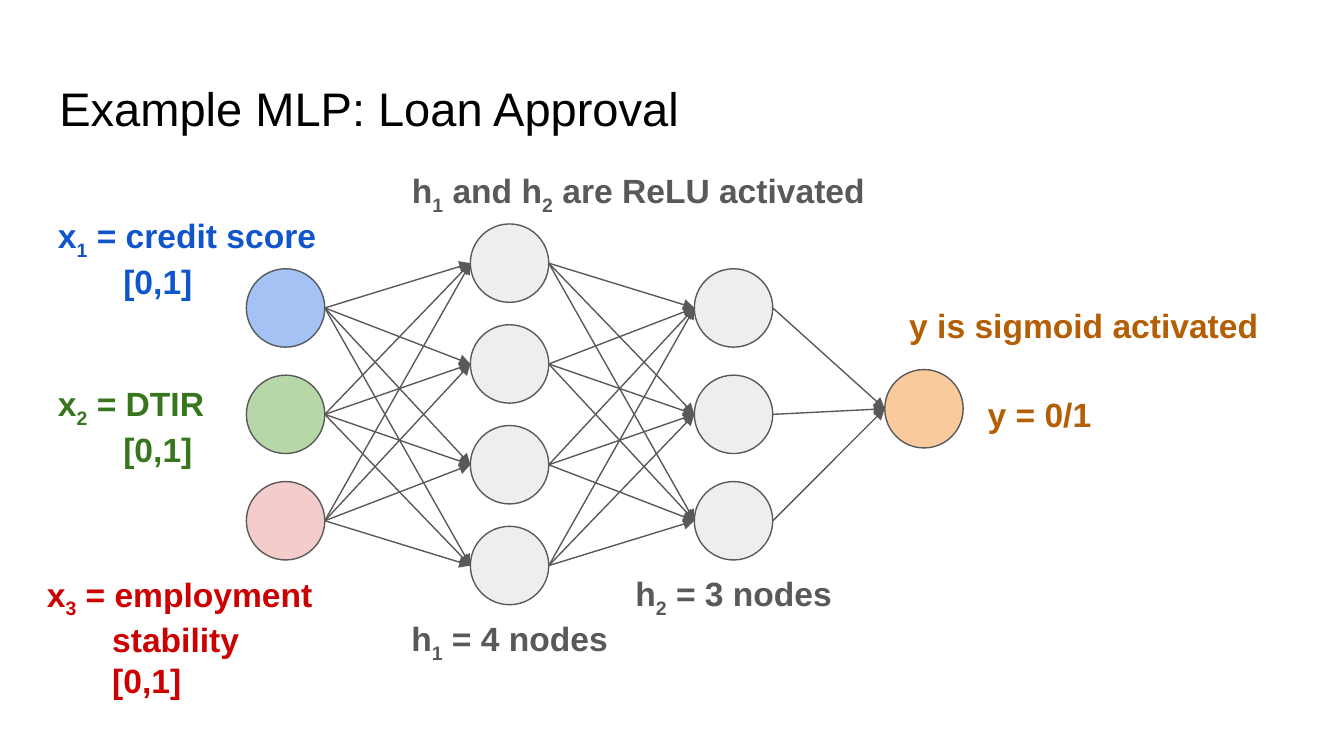
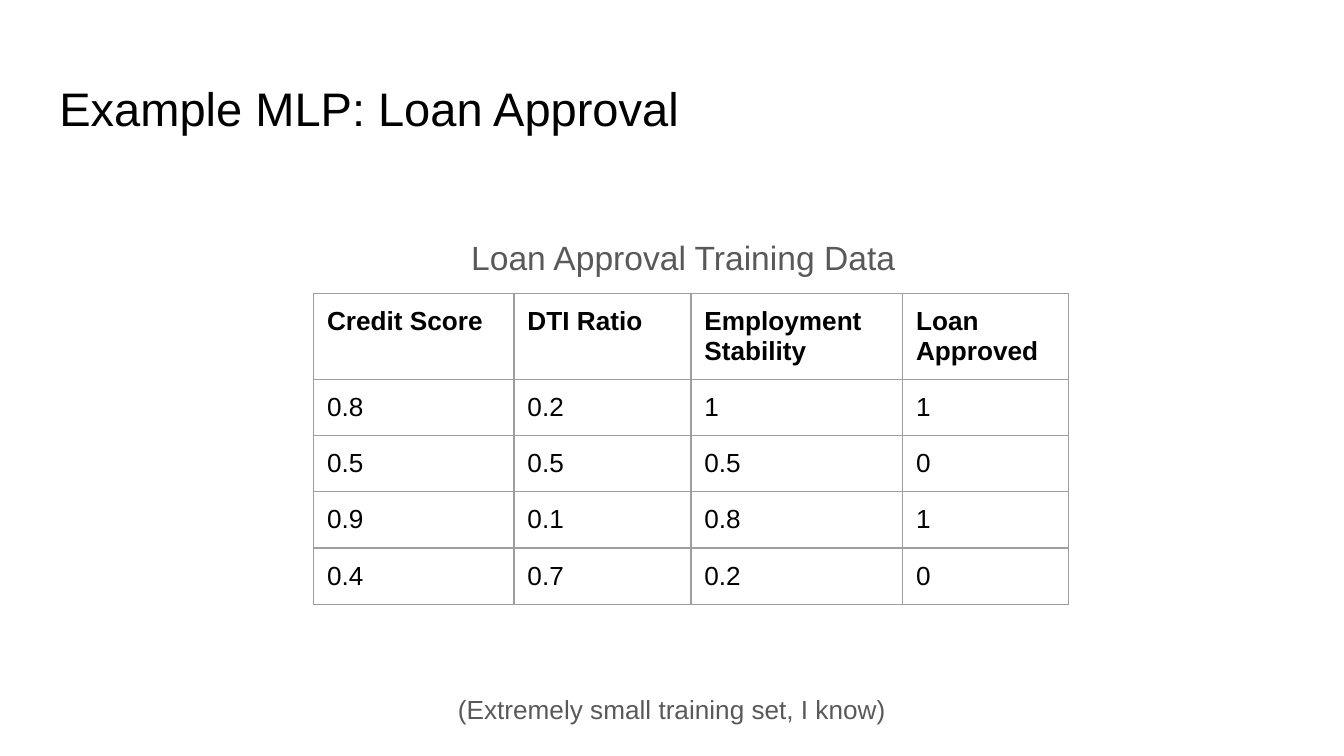
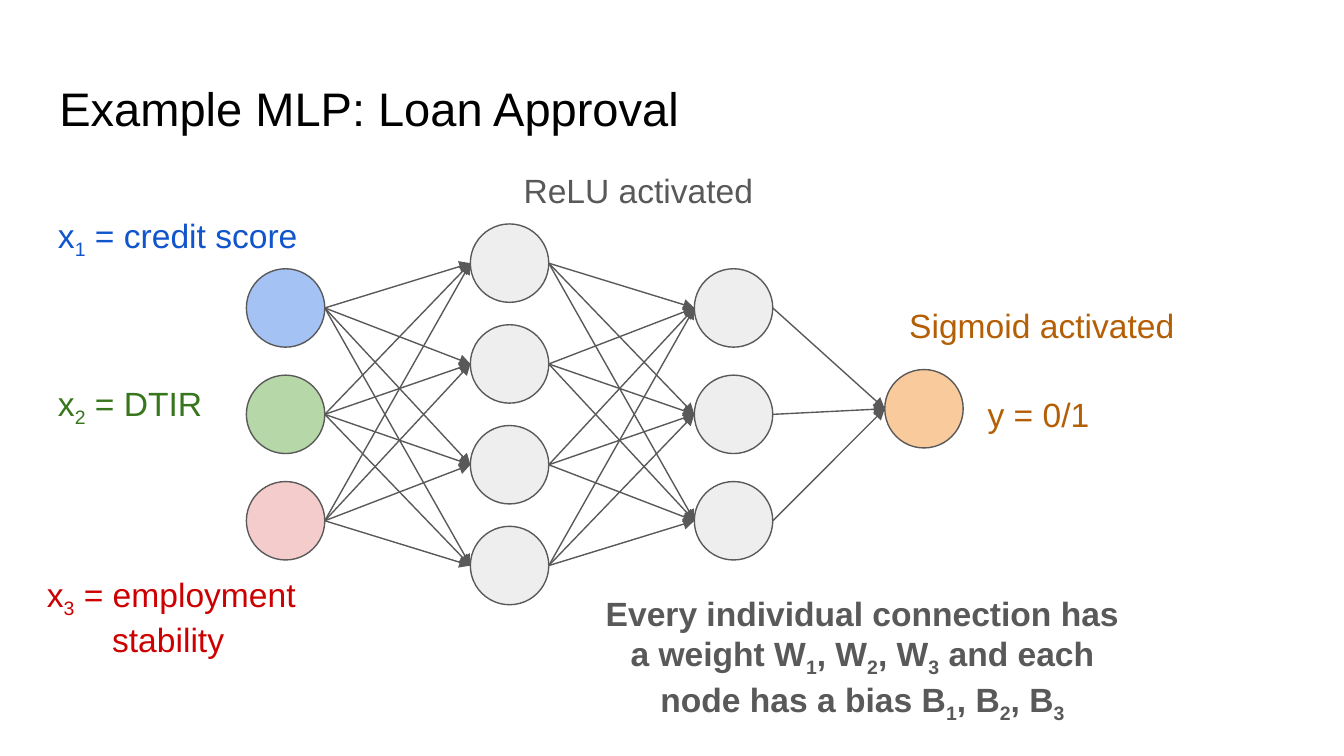
from itertools import product

from lxml import etree
from pptx import Presentation
from pptx.dml.color import RGBColor
from pptx.enum.shapes import MSO_CONNECTOR, MSO_SHAPE
from pptx.enum.text import MSO_ANCHOR, MSO_AUTO_SIZE, PP_ALIGN
from pptx.oxml.ns import qn
from pptx.util import Inches, Pt

# Grid: 12 columns and 12 rows to the inch
COLS, ROWS = 120, 67.5
UNIT = Inches(1) / 12

FONT = "Arial"
BLACK = RGBColor(0x00, 0x00, 0x00)
GRAY = RGBColor(0x59, 0x59, 0x59)
BORDER = RGBColor(0x9E, 0x9E, 0x9E)
HIDDEN_FILL = RGBColor(0xEE, 0xEE, 0xEE)
BLUE, BLUE_FILL = RGBColor(0x11, 0x55, 0xCC), RGBColor(0xA4, 0xC2, 0xF4)
GREEN, GREEN_FILL = RGBColor(0x38, 0x76, 0x1D), RGBColor(0xB6, 0xD7, 0xA8)
RED, RED_FILL = RGBColor(0xCC, 0x00, 0x00), RGBColor(0xF4, 0xCC, 0xCC)
ORANGE, ORANGE_FILL = RGBColor(0xB4, 0x5F, 0x06), RGBColor(0xF9, 0xCB, 0x9C)

TITLE = "Example MLP: Loan Approval"
INSET = Inches(0.1)
HANG = Pt(35)
LINE_WIDTH = Pt(0.75)

# Network layers: column, first row, row step, node fills
NODE = 7
LAYERS = [
    (22, 24, 9.5, [BLUE_FILL, GREEN_FILL, RED_FILL]),
    (42, 20, 9, [HIDDEN_FILL] * 4),
    (62, 24, 9.5, [HIDDEN_FILL] * 3),
    (79, 33, 0, [ORANGE_FILL]),
]


def grid(*units):
    return [round(u * UNIT) for u in units]


def write(tf, text, size=18, color=GRAY, bold=False, align=PP_ALIGN.LEFT, hang=0):
    """Fill a text frame; "_" lowers the next character, "\n" breaks the line."""
    tf.word_wrap = True
    tf.margin_left = tf.margin_right = tf.margin_top = tf.margin_bottom = INSET
    p = tf.paragraphs[0]
    p.alignment = align
    if hang:
        pPr = p._p.get_or_add_pPr()
        pPr.set("marL", str(hang))
        pPr.set("indent", str(-hang))

    def add_run(piece, lowered=False):
        r = p.add_run()
        r.text = piece
        r.font.name, r.font.size, r.font.bold = FONT, Pt(size), bold
        r.font.color.rgb = color
        if lowered:
            r._r.get_or_add_rPr().set("baseline", "-25000")

    for i, line in enumerate(text.split("\n")):
        if i:
            p.add_line_break()
        plain, *lowered = line.split("_")
        add_run(plain)
        for piece in lowered:
            add_run(piece[0], lowered=True)
            if piece[1:]:
                add_run(piece[1:])


class Deck:
    def __init__(self):
        self.prs = Presentation()
        self.prs.slide_width, self.prs.slide_height = grid(COLS, ROWS)
        self.s = None

    def slide(self, title):
        self.s = self.prs.slides.add_slide(self.prs.slide_layouts[5])
        sp = self.s.shapes.title
        sp.left, sp.top, sp.width, sp.height = grid(4.1, 5.9, 111.8, 7.5)
        tf = sp.text_frame
        tf.auto_size = MSO_AUTO_SIZE.NONE
        tf.vertical_anchor = MSO_ANCHOR.TOP
        write(tf, title, size=25.2, color=BLACK)

    def label(self, text, col, row, width, height=6, **style):
        tf = self.s.shapes.add_textbox(*grid(col, row, width, height)).text_frame
        tf.auto_size = MSO_AUTO_SIZE.SHAPE_TO_FIT_TEXT
        write(tf, text, **style)

    def caption(self, text, col, row, width, height=6, **style):
        self.label(text, col, row, width, height, align=PP_ALIGN.CENTER, **style)

    def node(self, group, col, row, fill):
        sp = group.shapes.add_shape(MSO_SHAPE.OVAL, *grid(col, row, NODE, NODE))
        sp.shadow.inherit = False
        sp.fill.solid()
        sp.fill.fore_color.rgb = fill
        sp.line.color.rgb = GRAY
        sp.line.width = LINE_WIDTH

    def arrow(self, group, start, end):
        cx = group.shapes.add_connector(MSO_CONNECTOR.STRAIGHT, *grid(*start, *end))
        cx.line.color.rgb = GRAY
        cx.line.width = LINE_WIDTH
        etree.SubElement(cx.line._get_or_add_ln(), qn("a:tailEnd"), type="triangle")
        etree.SubElement(cx._element.spPr, qn("a:effectLst"))

    def network(self):
        group = self.s.shapes.add_group_shape()
        centers = []
        for col, top, step, fills in LAYERS:
            rows = [top + i * step for i in range(len(fills))]
            for row, fill in zip(rows, fills):
                self.node(group, col, row, fill)
            centers.append([(col, row + NODE / 2) for row in rows])
        for layer, following in zip(centers, centers[1:]):
            for (col, row), end in product(layer, following):
                self.arrow(group, (col + NODE, row), end)

    def table(self, rows, col, row, widths, row_height):
        frame = self.s.shapes.add_table(
            len(rows), len(widths),
            *grid(col, row, sum(widths), row_height * len(rows)))
        table = frame.table
        table.horz_banding = False
        for column, width in zip(table.columns, grid(*widths)):
            column.width = width
        for i, values in enumerate(rows):
            for j, value in enumerate(values):
                cell = table.cell(i, j)
                cell.margin_left = cell.margin_right = INSET
                cell.margin_top = cell.margin_bottom = INSET
                cell.fill.background()
                self.borders(cell)
                write(cell.text_frame, value, size=14, color=BLACK, bold=i == 0)

    def borders(self, cell):
        tcPr = cell._tc.get_or_add_tcPr()
        for i, side in enumerate("LRTB"):
            ln = etree.Element(qn(f"a:ln{side}"), w=str(LINE_WIDTH))
            fill = etree.SubElement(ln, qn("a:solidFill"))
            etree.SubElement(fill, qn("a:srgbClr"), val=str(BORDER))
            tcPr.insert(i, ln)

    def loan_network(self, domain, hidden, output, bold):
        """Network with its input and output labels."""
        self.slide(TITLE)
        extra = 3.65 if domain else 0
        self.label("x_1 = credit score" + domain, 4, 18, 31, 6 + extra,
                   color=BLUE, bold=bold, hang=HANG)
        self.label("x_3 = employment\nstability" + domain, 3, 50, 27, 9.65 + extra,
                   color=RED, bold=bold, hang=HANG)
        self.label("x_2 = DTIR" + domain, 4, 33, 18, 6 + extra,
                   color=GREEN, bold=bold, hang=HANG)
        self.label("y = 0/1", 87, 34, 22, color=ORANGE, bold=bold)
        self.caption(hidden, 35, 14, 44, bold=bold)
        self.label(output, 80, 26, 34, color=ORANGE, bold=bold)
        self.network()


def main():
    deck = Deck()

    # Network structure
    deck.loan_network("\n[0,1]", "h_1 and h_2 are ReLU activated",
                      "y is sigmoid activated", bold=True)
    deck.caption("h_1 = 4 nodes", 35, 54, 21, bold=True)
    deck.caption("h_2 = 3 nodes", 55, 50, 21, bold=True)

    # Training data
    deck.slide(TITLE)
    deck.table([
        ["Credit Score", "DTI Ratio", "Employment Stability", "Loan Approved"],
        ["0.8", "0.2", "1", "1"],
        ["0.5", "0.5", "0.5", "0"],
        ["0.9", "0.1", "0.8", "1"],
        ["0.4", "0.7", "0.2", "0"],
    ], 28, 26.2, widths=[17.9, 15.8, 18.9, 14.8], row_height=5)
    deck.caption("Loan Approval Training Data", 33, 20, 56)
    deck.caption("(Extremely small training set, I know)", 32, 60.7, 56, 5.3, size=14)

    # Weights and biases
    deck.loan_network("", "ReLU activated", "Sigmoid activated", bold=False)
    deck.caption("Every individual connection has a weight W_1, W_2, W_3 "
                 "and each node has a bias B_1, B_2, B_3",
                 52, 51.7, 50, 13.3, bold=True)

    deck.prs.save("out.pptx")


if __name__ == "__main__":
    main()
